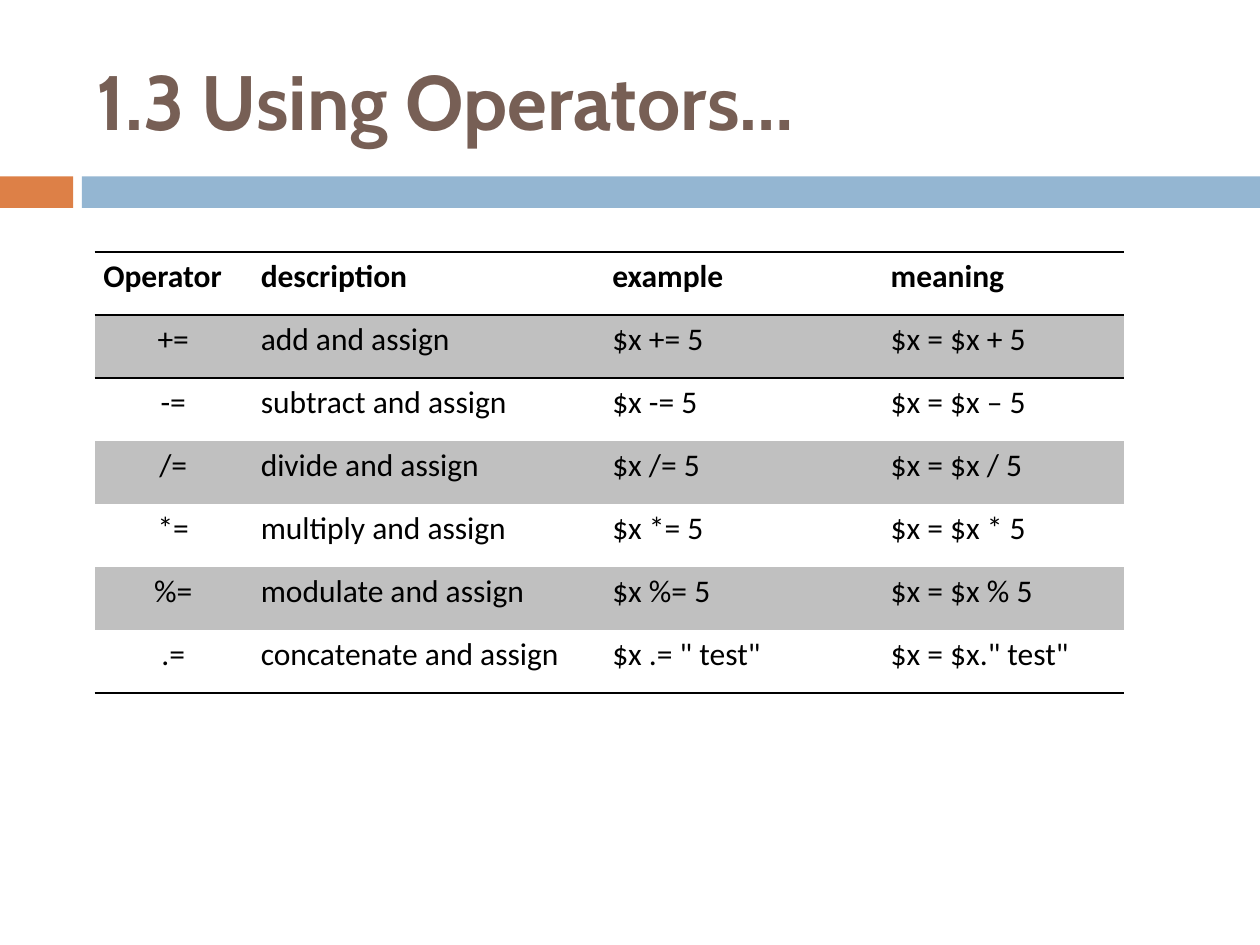
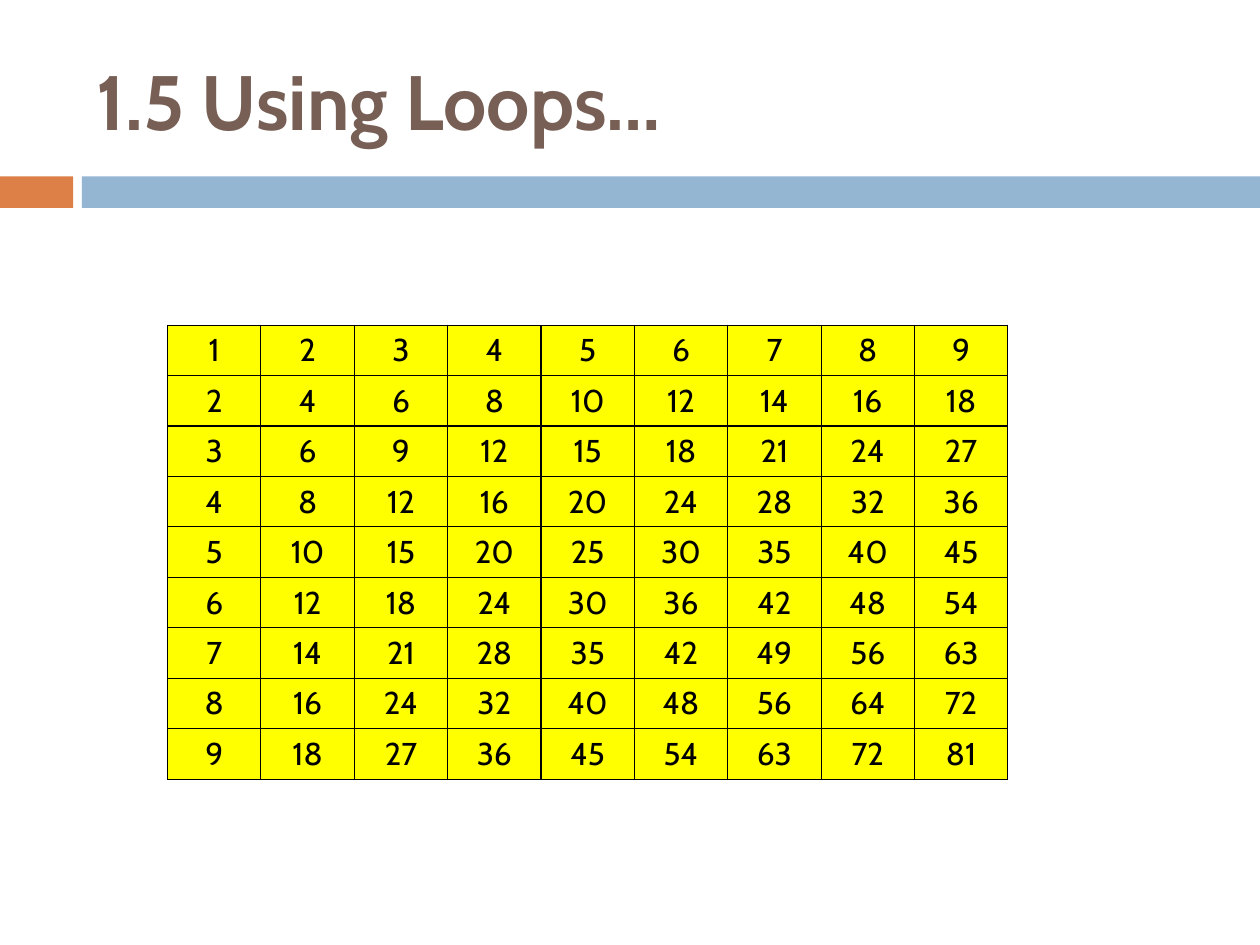
from lxml import etree
from pptx import Presentation
from pptx.dml.color import RGBColor
from pptx.enum.shapes import MSO_SHAPE
from pptx.enum.text import MSO_ANCHOR, PP_ALIGN
from pptx.oxml.ns import qn
from pptx.util import Inches, Pt

RECTANGLE = MSO_SHAPE.RECTANGLE
MIDDLE = MSO_ANCHOR.MIDDLE
TOP = MSO_ANCHOR.TOP
CENTER = PP_ALIGN.CENTER
JUSTIFY = PP_ALIGN.JUSTIFY

ORANGE = "DD8047"
BLUE = "94B6D2"
BROWN = "775F55"
BLACK = "000000"
GRAY = "C0C0C0"
YELLOW = "FFFF00"

TITLE_FONT = "Cabin"
TABLE_FONT = "Calibri"
PLAIN_TABLE_STYLE = "{2D5ABB26-0587-4C30-8999-92F81FD0307C}"

OPERATOR_ROWS = [
    ("Operator", "description", "example", "meaning"),
    ("+=", "add and assign", "$x += 5", "$x = $x + 5"),
    ("-=", "subtract and assign", "$x -= 5", "$x = $x – 5"),
    ("/=", "divide and assign", "$x /= 5", "$x = $x / 5"),
    ("*=", "multiply and assign", "$x *= 5", "$x = $x * 5"),
    ("%=", "modulate and assign", "$x %= 5", "$x = $x % 5"),
    (".=", "concatenate and assign", '$x .= " test"', '$x = $x." test"'),
]
OPERATOR_COLUMN_WIDTHS = [1.25, 2.79, 2.21, 1.92]


def color(hex_value):
    return RGBColor.from_string(hex_value)


def style_font(paragraph, name, size, hex_value, bold=False):
    font = paragraph.font
    font.name = name
    font.size = Pt(size)
    font.bold = bold
    font.color.rgb = color(hex_value)


def add_band(slide, left, width, hex_value):
    shape = slide.shapes.add_shape(
        RECTANGLE, Inches(left), Inches(1.4), Inches(width), Inches(0.25))
    shape.shadow.inherit = False
    shape.fill.solid()
    shape.fill.fore_color.rgb = color(hex_value)
    shape.line.fill.background()


def add_titled_slide(presentation, title):
    slide = presentation.slides.add_slide(presentation.slide_layouts[6])
    add_band(slide, 0, 0.58, ORANGE)
    add_band(slide, 0.65, 9.35, BLUE)
    text_box = slide.shapes.add_textbox(
        Inches(0.67), Inches(0.25), Inches(8.92), Inches(1.08))
    frame = text_box.text_frame
    frame.word_wrap = True
    frame.vertical_anchor = MIDDLE
    frame.text = title
    style_font(frame.paragraphs[0], TITLE_FONT, 44, BROWN, bold=True)
    return slide


def add_plain_table(slide, left, top, column_widths, row_count, row_height):
    frame = slide.shapes.add_table(
        row_count, len(column_widths), Inches(left), Inches(top),
        Inches(sum(column_widths)), Inches(row_count * row_height))
    table = frame.table
    table.first_row = False
    table.horz_banding = False
    table._tbl.tblPr.find(qn("a:tableStyleId")).text = PLAIN_TABLE_STYLE
    for column, width in zip(table.columns, column_widths):
        column.width = Inches(width)
    for row in table.rows:
        row.height = Inches(row_height)
    return table


def set_borders(cell, sides, points):
    properties = cell._tc.get_or_add_tcPr()
    for side in sides:
        line = etree.SubElement(properties, qn(f"a:ln{side}"), w=str(Pt(points)))
        fill = etree.SubElement(line, qn("a:solidFill"))
        etree.SubElement(fill, qn("a:srgbClr"), val=BLACK)


def fill_cell(cell, hex_value):
    if hex_value:
        cell.fill.solid()
        cell.fill.fore_color.rgb = color(hex_value)
    else:
        cell.fill.background()


def write_cell(cell, text, font_name, alignment, anchor, bold=False):
    cell.text = text
    cell.vertical_anchor = anchor
    paragraph = cell.text_frame.paragraphs[0]
    paragraph.alignment = alignment
    style_font(paragraph, font_name, 18, BLACK, bold)
    return paragraph


def add_operator_table(slide):
    table = add_plain_table(
        slide, 0.75, 2, OPERATOR_COLUMN_WIDTHS, len(OPERATOR_ROWS), 0.5)
    row_sides = {0: "TB", 1: "T", len(OPERATOR_ROWS) - 1: "B"}
    for row, texts in enumerate(OPERATOR_ROWS):
        for column, text in enumerate(texts):
            cell = table.cell(row, column)
            cell.margin_left = cell.margin_right = Inches(0.07)
            cell.margin_top = cell.margin_bottom = 0
            alignment = CENTER if row and column == 0 else JUSTIFY
            paragraph = write_cell(
                cell, text, TABLE_FONT, alignment, TOP, bold=row == 0)
            paragraph.line_spacing = 1.15
            set_borders(cell, row_sides.get(row, ""), 1)
            fill_cell(cell, GRAY if row % 2 else None)


def add_multiplication_table(slide, size):
    table = add_plain_table(slide, 1.33, 2.58, [6.67 / size] * size, size, 0.4)
    for row in range(size):
        for column in range(size):
            cell = table.cell(row, column)
            product = (row + 1) * (column + 1)
            write_cell(cell, str(product), TITLE_FONT, CENTER, MIDDLE)
            set_borders(cell, "LRTB", 0.75)
            fill_cell(cell, YELLOW)


def main():
    presentation = Presentation()
    presentation.slide_width = Inches(10)
    presentation.slide_height = Inches(7.5)
    add_operator_table(add_titled_slide(presentation, "1.3 Using Operators…"))
    add_multiplication_table(
        add_titled_slide(presentation, "1.5 Using Loops…"), 9)
    presentation.save("out.pptx")


if __name__ == "__main__":
    main()
